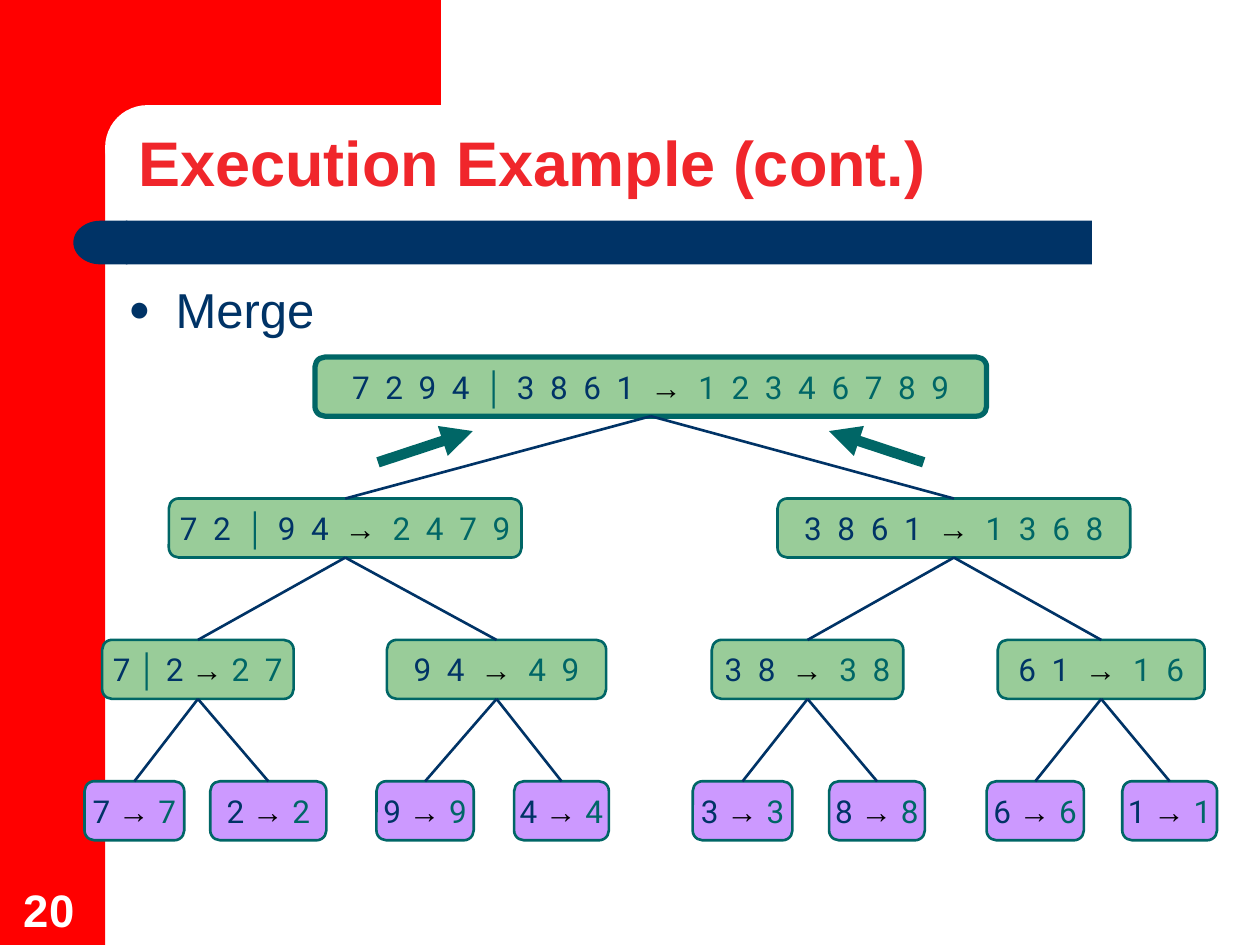
"""Build the merge step slide of a merge sort execution tree."""
from dataclasses import dataclass

from lxml import etree
from pptx import Presentation
from pptx.dml.color import RGBColor
from pptx.enum.shapes import MSO_CONNECTOR, MSO_SHAPE
from pptx.enum.text import MSO_ANCHOR, PP_ALIGN
from pptx.oxml.ns import qn
from pptx.util import Cm, Pt

RECT = MSO_SHAPE.RECTANGLE
ROUNDED = MSO_SHAPE.ROUNDED_RECTANGLE
DELAY = MSO_SHAPE.FLOWCHART_DELAY
STRAIGHT = MSO_CONNECTOR.STRAIGHT
TOP, MIDDLE, BOTTOM = MSO_ANCHOR.TOP, MSO_ANCHOR.MIDDLE, MSO_ANCHOR.BOTTOM
CENTER = PP_ALIGN.CENTER
TOP_SIDE, BOTTOM_SIDE = 0, 2


@dataclass(frozen=True)
class Theme:
    """Colours, fonts and sizes of the slide."""
    red: str = "FF0000"
    title: str = "F0262B"
    navy: str = "003366"
    teal: str = "006666"
    green: str = "99CC99"
    purple: str = "CC99FF"
    white: str = "FFFFFF"
    black: str = "000000"
    text_font: str = "Arial"
    digit_font: str = "Roboto"
    title_size: int = 36
    body_size: int = 28
    number_size: int = 26
    digit_size: int = 18
    digit_spacing: int = 225
    edge: float = 1.5
    root_edge: float = 3
    arrow: float = 6


THEME = Theme()
ROW_TOP, ROW_STEP, NODE_HEIGHT = 7.2, 2.85, 1.19
LEVELS = [
    [(13.12, 13.54, "7 2 9 4 │ 3 8 6 1 → 1 2 3 4 6 7 8 9")],
    [(6.96, 7.11, "7 2 │ 9 4 → 2 4 7 9"), (19.23, 7.11, "3 8 6 1 → 1 3 6 8")],
    [(3.99, 3.86, "7 │ 2 → 2 7"), (10.01, 4.42, "9 4 → 4 9"),
     (16.28, 3.86, "3 8 → 3 8"), (22.2, 4.17, "6 1 → 1 6")],
    [(2.71, 2.01, "7 → 7"), (5.41, 2.34, "2 → 2"),
     (8.57, 1.96, "9 → 9"), (11.32, 1.91, "4 → 4"),
     (14.97, 2.01, "3 → 3"), (17.68, 1.93, "8 → 8"),
     (20.87, 1.96, "6 → 6"), (23.58, 1.91, "1 → 1")],
]


def apply_format(target, values):
    """Set each named attribute of the target."""
    for name, value in values.items():
        setattr(target, name, value)


def add_run(paragraph, text, font, size, color, bold=False):
    """Append a formatted run and return it."""
    run = paragraph.add_run()
    run.text = text
    apply_format(run.font, {"name": font, "size": Pt(size), "bold": bold})
    run.font.color.rgb = RGBColor.from_string(color)
    return run


def add_panel(slide, kind, box, fill, corner=None):
    """Add a filled shape without outline or shadow."""
    panel = slide.shapes.add_shape(kind, *map(Cm, box))
    panel.shadow.inherit = False
    panel.fill.solid()
    panel.fill.fore_color.rgb = RGBColor.from_string(fill)
    panel.line.fill.background()
    if corner is not None:
        panel.adjustments[0] = corner
    return panel


def add_label(slide, box, anchor, text, size, color, bold=False):
    """Add a text box with one line and return its paragraph."""
    frame = slide.shapes.add_textbox(*map(Cm, box)).text_frame
    apply_format(frame, {"word_wrap": True, "vertical_anchor": anchor})
    paragraph = frame.paragraphs[0]
    add_run(paragraph, text, THEME.text_font, size, color, bold)
    return paragraph


def add_bullet(paragraph):
    """Give the paragraph a hanging round bullet."""
    properties = paragraph._p.get_or_add_pPr()
    properties.set("marL", str(Cm(0.95)))
    properties.set("indent", str(-Cm(0.95)))
    color = etree.SubElement(properties, qn("a:buClr"))
    etree.SubElement(color, qn("a:srgbClr"), val=THEME.navy)
    etree.SubElement(properties, qn("a:buSzPct"), val="75000")
    etree.SubElement(properties, qn("a:buFont"), typeface=THEME.text_font)
    etree.SubElement(properties, qn("a:buChar"), char="●")


def add_line(slide, color, width, start=(0, 0), end=(0, 0)):
    """Add a straight connector without shadow."""
    line = slide.shapes.add_connector(STRAIGHT, *map(Cm, (*start, *end)))
    line.line.color.rgb = RGBColor.from_string(color)
    line.line.width = Pt(width)
    etree.SubElement(line._element.spPr, qn("a:effectLst"))
    return line


def add_merge_arrow(slide, start, end):
    """Add a thick arrow that points up to the merged list."""
    arrow = add_line(slide, THEME.teal, THEME.arrow, start, end)
    etree.SubElement(arrow.line._get_or_add_ln(), qn("a:tailEnd"), type="triangle")


def add_node(slide, center, top, width, text, fill, edge):
    """Add a tree node showing its list before and after merging."""
    node = add_panel(slide, ROUNDED, (center - width / 2, top, width, NODE_HEIGHT),
                     fill, 0.167)
    node.line.color.rgb = RGBColor.from_string(THEME.teal)
    node.line.width = Pt(edge)
    frame = node.text_frame
    apply_format(frame, {"word_wrap": False, "vertical_anchor": MIDDLE})
    paragraph = frame.paragraphs[0]
    paragraph.alignment = CENTER

    unsorted, merged = text.split("→")
    left, bar, right = unsorted.partition("│")
    merged = merged.strip()
    several = len(left.split()) > 1
    digits, words = THEME.digit_font, THEME.text_font
    pieces = [
        (left, digits, THEME.navy, False, several),
        (bar, words, THEME.teal, True, False),
        (right, digits, THEME.navy, False, several),
        ("→ ", words, THEME.black, True, several),
        (merged, digits, THEME.teal, False, len(merged) > 1),
    ]
    for piece, font, color, bold, spread in pieces:
        if piece:
            run = add_run(paragraph, piece, font, THEME.digit_size, color, bold)
            if spread:
                run._r.get_or_add_rPr().set("spc", str(THEME.digit_spacing))
    return node


def add_tree(slide):
    """Add all levels of the tree and join each node to its parent."""
    parents = []
    for depth, level in enumerate(LEVELS):
        fill = THEME.purple if depth == len(LEVELS) - 1 else THEME.green
        edge = THEME.edge if depth else THEME.root_edge
        top = ROW_TOP + depth * ROW_STEP
        nodes = [add_node(slide, center, top, width, text, fill, edge)
                 for center, width, text in level]
        if parents:
            for index, node in enumerate(nodes):
                branch = add_line(slide, THEME.navy, THEME.edge)
                branch.begin_connect(parents[index // 2], BOTTOM_SIDE)
                branch.end_connect(node, TOP_SIDE)
        parents = nodes


def add_frame(slide):
    """Add the red corner and the navy bar under the title."""
    add_panel(slide, RECT, (0, 0, 2.12, 19.05), THEME.red)
    add_panel(slide, RECT, (1.9, 0, 6.99, 2.96), THEME.red)
    add_panel(slide, ROUNDED, (2.12, 2.12, 14.18, 1.7), THEME.white, 0.5)
    add_panel(slide, ROUNDED, (2.54, 4.45, 19.47, 0.88), THEME.navy, 0)
    cap = add_panel(slide, DELAY, (1.48, 4.45, 1.09, 0.88), THEME.navy)
    cap._element.spPr.get_or_add_xfrm().set("flipH", "1")


def main():
    """Build and save the slide."""
    deck = Presentation()
    apply_format(deck, {"slide_width": Cm(25.4), "slide_height": Cm(19.05)})
    slide = deck.slides.add_slide(deck.slide_layouts[6])
    add_frame(slide)
    add_label(slide, (0.23, 17.63, 1.63, 1.37), BOTTOM, "20",
              THEME.number_size, THEME.white, True)
    title = add_label(slide, (2.54, 2.54, 22.23, 1.63), BOTTOM,
                      "Execution Example (cont.)", THEME.title_size, THEME.title, True)
    title.line_spacing = 0.9
    step = add_label(slide, (2.34, 5.51, 21.59, 1.45), TOP, "Merge",
                     THEME.body_size, THEME.navy)
    step.space_before = Pt(7)
    add_bullet(step)
    add_tree(slide)
    add_merge_arrow(slide, (7.62, 9.32), (9.53, 8.69))
    add_merge_arrow(slide, (18.62, 9.32), (16.71, 8.69))
    deck.save("out.pptx")


if __name__ == "__main__":
    main()
